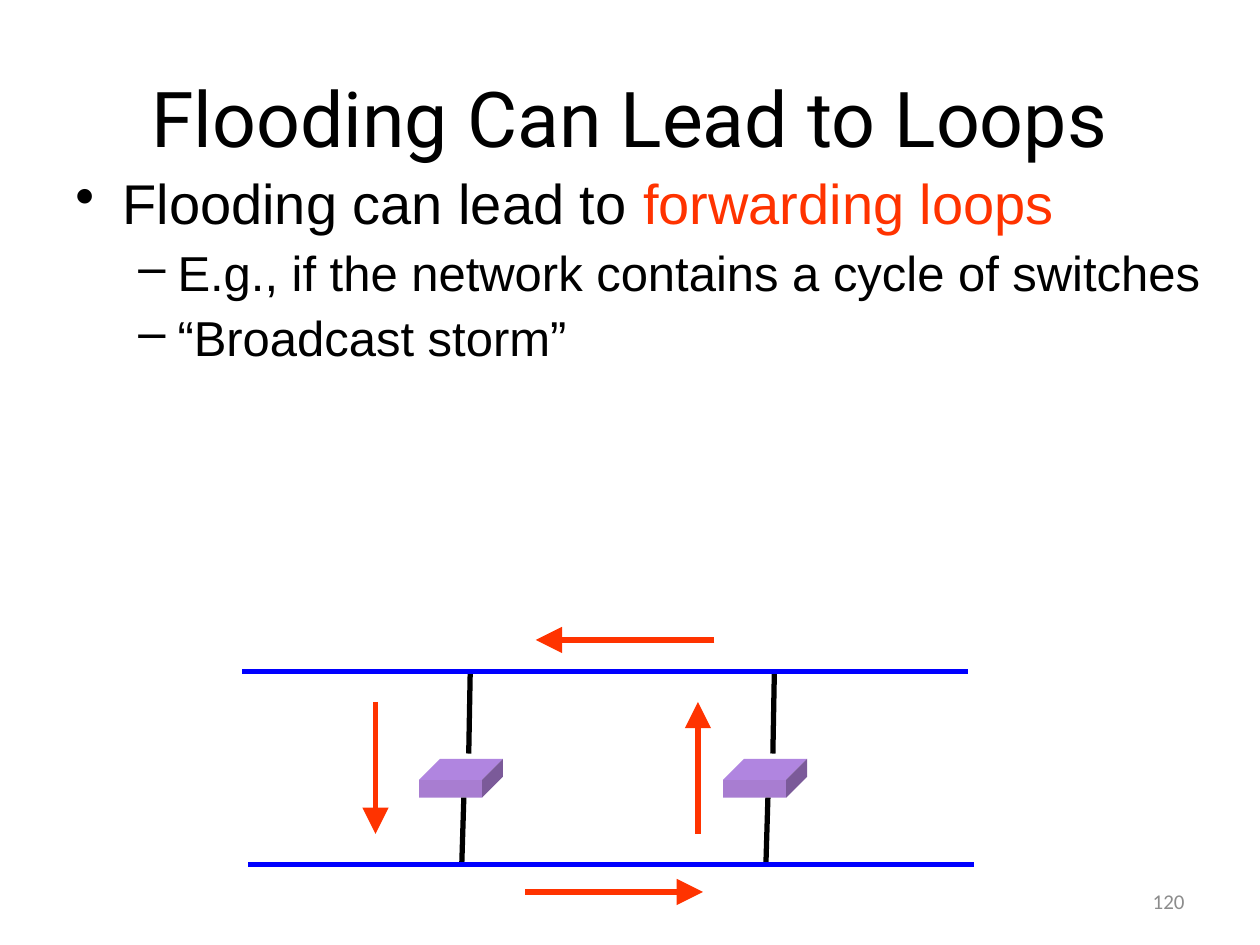
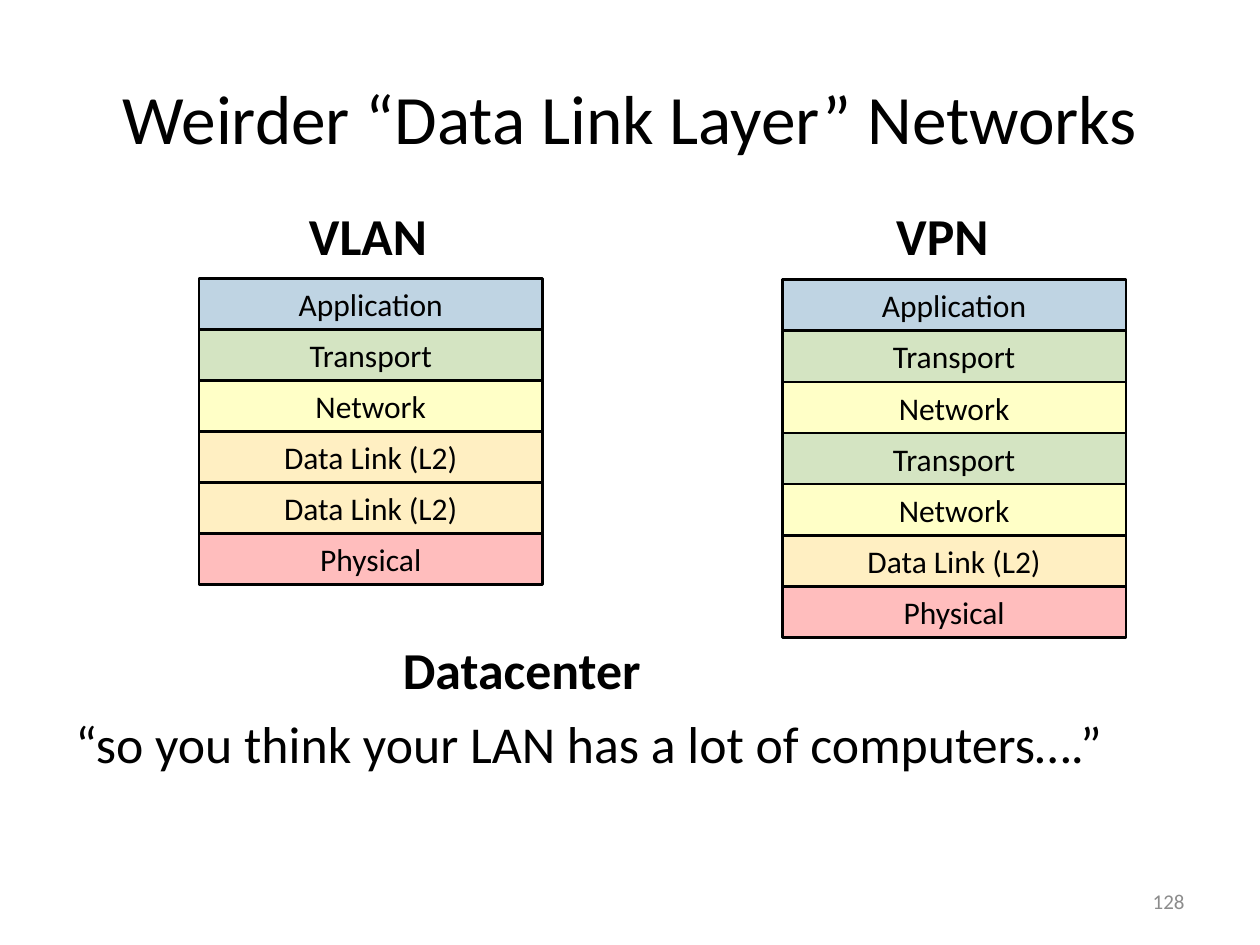
import dataclasses
import typing

import pptx
import pptx.dml.color
import pptx.enum.shapes
import pptx.enum.text
import pptx.oxml.ns
import pptx.util
from lxml import etree

Cm = pptx.util.Cm
Pt = pptx.util.Pt
RGBColor = pptx.dml.color.RGBColor
Align = pptx.enum.text.PP_ALIGN
Anchor = pptx.enum.text.MSO_ANCHOR
Kind = pptx.enum.shapes.MSO_SHAPE
qn = pptx.oxml.ns.qn

# Colours
BLACK = RGBColor(0x00, 0x00, 0x00)
GREY = RGBColor(0x8C, 0x8C, 0x8C)
BLUE = RGBColor(0x00, 0x00, 0xFF)
RED = RGBColor(0xFF, 0x33, 0x00)
FRONT = RGBColor(0xA8, 0x7D, 0xD1)
TOP = RGBColor(0xB0, 0x85, 0xE0)
SIDE = RGBColor(0x7B, 0x5A, 0x99)

# Font formats
LABEL = {"name": "Calibri", "size": Pt(18)}
QUOTE = {"name": "Calibri", "size": Pt(29.6)}
HEAD = QUOTE | {"bold": True}
NUMBER = {"name": "Calibri", "size": Pt(12)}


@dataclasses.dataclass(frozen=True)
class Area:
    """A place on the slide, in centimetres."""
    left: float
    top: float
    width: float
    height: float

    def lengths(self) -> list:
        return [Cm(v) for v in dataclasses.astuple(self)]


@dataclasses.dataclass(frozen=True)
class Wire:
    """A straight line, in centimetres."""
    x1: float
    y1: float
    x2: float
    y2: float
    color: RGBColor
    arrow: bool = False


@dataclasses.dataclass(frozen=True)
class Layer:
    """One layer of a network stack; alpha is in percent."""
    text: str
    color: RGBColor
    alpha: int


@dataclasses.dataclass(frozen=True)
class Item:
    """A bullet point made of coloured words."""
    words: tuple
    level: int
    mark: str
    left: float
    hang: float
    size: float


TITLE = Area(1.27, 0.76, 22.86, 3.18)
FOOT = Area(18.21, 17.65, 5.92, 1.02)

APP = Layer("Application", RGBColor(0x00, 0x54, 0x93), 25)
TRANS = Layer("Transport", RGBColor(0x4E, 0x8F, 0x00), 24)
NET = Layer("Network", RGBColor(0xFF, 0xFF, 0x00), 22)
LINK = Layer("Data Link (L2)", RGBColor(0xFF, 0xC0, 0x00), 24)
PHYS = Layer("Physical", RGBColor(0xFF, 0x00, 0x00), 26)


# Shared helpers
def apply(target: typing.Any, values: dict) -> None:
    for name, value in values.items():
        setattr(target, name, value)


def write(par, text: str, form: dict, color: RGBColor = BLACK) -> None:
    run = par.add_run()
    run.text = text
    apply(run.font, form)
    run.font.color.rgb = color


def add_box(slide, area: Area, anchor=Anchor.TOP):
    frame = slide.shapes.add_textbox(*area.lengths()).text_frame
    apply(frame, {"word_wrap": True, "vertical_anchor": anchor})
    return frame


def add_text(slide, area: Area, text: str, form: dict, align=Align.LEFT,
             color: RGBColor = BLACK, anchor=Anchor.TOP) -> None:
    par = add_box(slide, area, anchor).paragraphs[0]
    par.alignment = align
    write(par, text, form, color)


def add_slide(deck, title: str, form: dict, number: str):
    slide = deck.slides.add_slide(deck.slide_layouts[5])
    head = slide.shapes.title
    apply(head, dict(zip(("left", "top", "width", "height"), TITLE.lengths())))
    apply(head.text_frame, {"vertical_anchor": Anchor.MIDDLE, "word_wrap": True})
    par = head.text_frame.paragraphs[0]
    par.alignment = Align.CENTER
    write(par, title, form)
    add_text(slide, FOOT, number, NUMBER, Align.RIGHT, GREY, Anchor.MIDDLE)
    return slide


# Bullets, wires and switches
def add_list(slide, area: Area, items: list[Item]) -> None:
    frame = add_box(slide, area)
    for i, item in enumerate(items):
        par = frame.add_paragraph() if i else frame.paragraphs[0]
        props = par._p.get_or_add_pPr()
        props.set("marL", str(Cm(item.left)))
        props.set("indent", str(-Cm(item.hang)))
        etree.SubElement(props, qn("a:buChar"), char=item.mark)
        apply(par, {"level": item.level, "line_spacing": 0.9})
        if i:
            par.space_before = Pt(7)
        for text, color in item.words:
            write(par, text, {"name": "Arial", "size": Pt(item.size)}, color)


def add_wire(slide, wire: Wire) -> None:
    ends = [Cm(v) for v in (wire.x1, wire.y1, wire.x2, wire.y2)]
    line = slide.shapes.add_connector(
        pptx.enum.shapes.MSO_CONNECTOR.STRAIGHT, *ends)
    line.line.color.rgb = wire.color
    line.line.width = Pt(3)
    if wire.arrow:
        etree.SubElement(line.line._get_or_add_ln(), qn("a:tailEnd"),
                         type="triangle", w="lg", len="lg")
    etree.SubElement(line._element.spPr, qn("a:effectLst"))


def paint(shape, color: RGBColor) -> None:
    shape.shadow.inherit = False
    shape.fill.solid()
    shape.fill.fore_color.rgb = color
    shape.line.fill.background()


def add_face(slide, points: list[tuple], color: RGBColor) -> None:
    spots = [(Cm(x), Cm(y)) for x, y in points]
    shell = slide.shapes.build_freeform(*spots[0])
    shell.add_line_segments(spots[1:], close=True)
    paint(shell.convert_to_shape(), color)


def add_switch(slide, left: float, upper: float, lower: float) -> None:
    wide, high, depth, top = 1.27, 0.36, 0.42, 15.72
    right, base, back = left + wide, top + high, top - depth
    front = Area(left, top, wide, high)
    paint(slide.shapes.add_shape(Kind.RECTANGLE, *front.lengths()), FRONT)
    add_face(slide, [(left, top), (left + depth, back),
                     (right + depth, back), (right, top)], TOP)
    add_face(slide, [(right, top), (right + depth, back),
                     (right + depth, base - depth), (right, base)], SIDE)
    add_wire(slide, Wire(left + 1.03, upper, left + 1, 15.19, BLACK))
    add_wire(slide, Wire(left + 0.9, base, left + 0.86, lower, BLACK))


# Layer stacks
def add_stack(slide, left: float, top: float, layers: list[Layer]) -> None:
    step = 1.03
    for i, layer in enumerate(layers):
        area = Area(left, top + i * step, 6.93, step)
        cell = slide.shapes.add_shape(Kind.RECTANGLE, *area.lengths())
        paint(cell, layer.color)
        tint = cell._element.spPr.find(f".//{qn('a:srgbClr')}")
        etree.SubElement(tint, qn("a:alpha"), val=str(layer.alpha * 1000))
        cell.line.color.rgb = BLACK
        cell.line.width = Pt(1.5)
        cell.text_frame.vertical_anchor = Anchor.MIDDLE
        par = cell.text_frame.paragraphs[0]
        par.alignment = Align.CENTER
        write(par, layer.text, LABEL)


def build_loops(deck) -> None:
    slide = add_slide(deck, "Flooding Can Lead to Loops",
                      {"name": "Roboto", "size": Pt(44)}, "120")
    sub = {"level": 1, "mark": "–", "left": 2.06, "hang": 0.79, "size": 28}
    add_list(slide, Area(1.27, 3.43, 23.5, 9.09), [
        Item((("Flooding can lead to ", BLACK), ("forwarding loops", RED)),
             0, "•", 0.95, 0.95, 32),
        Item((("E.g., if the network contains a cycle of switches", BLACK),),
             **sub),
        Item((("“Broadcast storm”", BLACK),), **sub),
    ])

    # Two switches between two buses
    upper, lower = 13.54, 17.42
    for left in (8.45, 14.58):
        add_switch(slide, left, upper, lower)
    add_wire(slide, Wire(4.88, upper, 19.51, upper, BLUE))
    add_wire(slide, Wire(5, lower, 19.63, lower, BLUE))

    # The loop that a frame follows
    for ends in ((7.57, 14.15, 7.57, 16.81), (14.07, 16.81, 14.07, 14.15),
                 (10.59, 17.98, 14.17, 17.98), (14.4, 12.9, 10.8, 12.9)):
        add_wire(slide, Wire(*ends, RED, True))


def build_stacks(deck) -> None:
    slide = add_slide(deck, "Weirder “Data Link Layer” Networks",
                      {"name": "Calibri", "size": Pt(39.6)}, "128")
    for text, mid, top in (("VLAN", 7.42, 3.99), ("VPN", 19, 3.99),
                           ("Datacenter", 10.52, 12.74)):
        add_text(slide, Area(mid - 4, top, 8, 1.5), text, HEAD, Align.CENTER)
    add_text(slide, Area(1.27, 14.23, 22.86, 1.5),
             "“so you think your LAN has a lot of computers….”", QUOTE)
    add_stack(slide, 4.01, 5.61, [APP, TRANS, NET, LINK, LINK, PHYS])
    add_stack(slide, 15.77, 5.64, [APP, TRANS, NET, TRANS, NET, LINK, PHYS])


def main() -> None:
    deck = pptx.Presentation()
    apply(deck, {"slide_width": Cm(25.4), "slide_height": Cm(19.05)})
    build_loops(deck)
    build_stacks(deck)
    deck.save("out.pptx")


if __name__ == "__main__":
    main()
